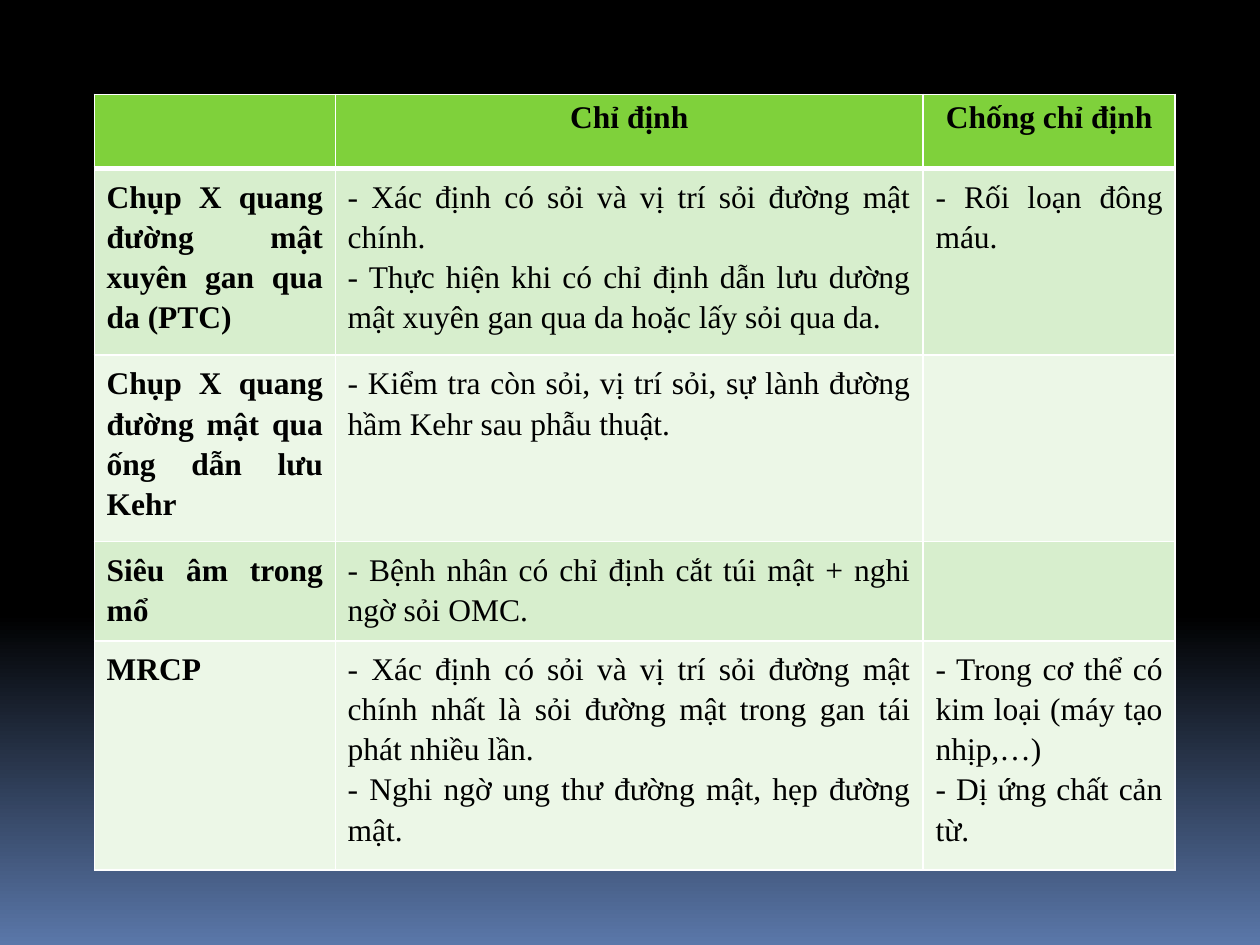
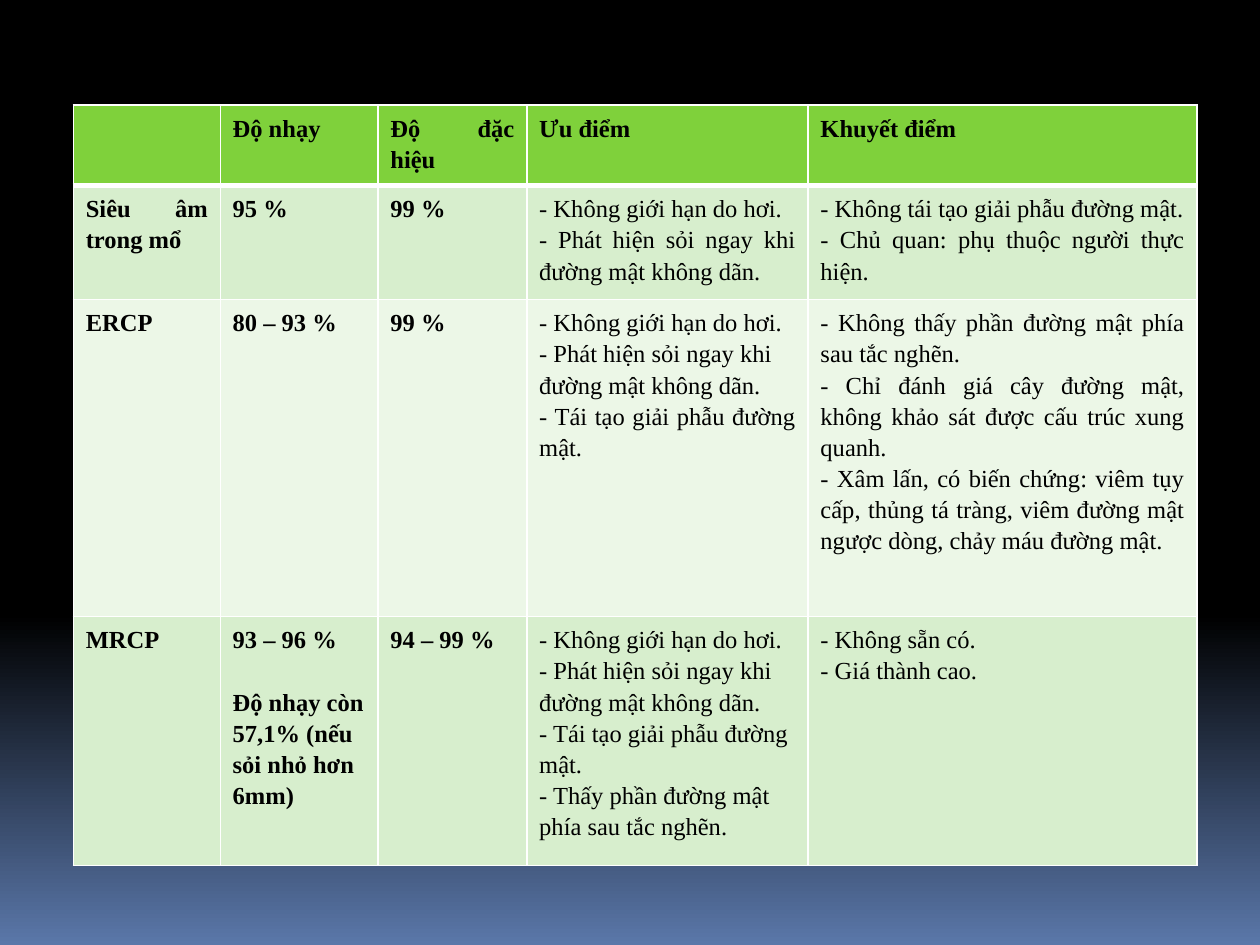
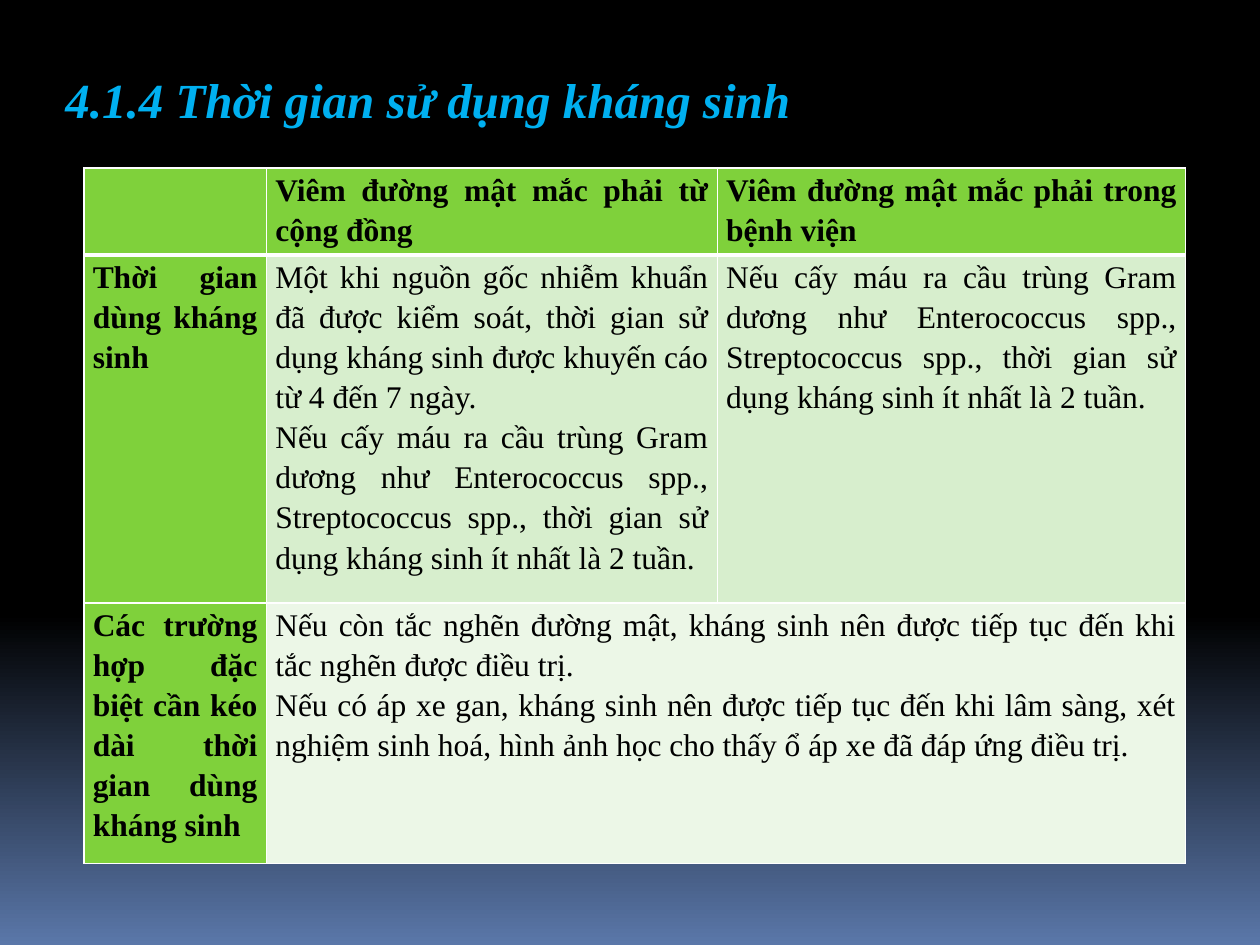
from copy import deepcopy
from dataclasses import dataclass

from lxml import etree
from pptx import Presentation
from pptx.dml.color import RGBColor
from pptx.enum.text import MSO_AUTO_SIZE, PP_ALIGN
from pptx.oxml.ns import qn
from pptx.presentation import Presentation as Deck
from pptx.slide import Slide
from pptx.table import _Cell as Cell
from pptx.text.text import _Paragraph as Paragraph
from pptx.util import Cm, Pt

JUSTIFY, CENTER, LEFT = PP_ALIGN.JUSTIFY, PP_ALIGN.CENTER, PP_ALIGN.LEFT
FIT_SHAPE = MSO_AUTO_SIZE.SHAPE_TO_FIT_TEXT
FONT = "Times New Roman"
BLACK, WHITE, SKY = "000000", "FFFFFF", "00B0F0"
GREEN, BANDS = "7FD13B", ("D7EECD", "ECF7E7")
BACKGROUND_STOPS = ((0, BLACK), (0.65, BLACK), (1, "5A77A9"))
THIN, THICK = 1, 3


@dataclass(frozen=True)
class Line:
    """One paragraph of a table cell."""

    text: str
    alignment: PP_ALIGN = JUSTIFY
    space_before: float = 0


Content = tuple[Line, ...]


@dataclass(frozen=True)
class Grid:
    """A banded table; lengths are in centimetres."""

    left: float
    top: float
    widths: tuple[float, ...]
    heights: tuple[float, ...]
    rows: tuple[tuple[Content, ...], ...]
    size: float = 18
    bold_columns: int = 1
    green_first_column: bool = False
    margins: tuple[float, float] = (0.25, 0.13)
    header_spacing: float = 1.15


def lines(*texts: str, alignment: PP_ALIGN = JUSTIFY) -> Content:
    """Make the paragraphs of one cell."""
    return tuple(Line(text, alignment) for text in texts)


METHODS = Grid(
    left=1.9, top=1.9,
    widths=(4.86, 11.85, 5.08),
    heights=(1.5, 3.76, 3.76, 2, 4.62),
    header_spacing=1,
    rows=(
        ((), lines("Chỉ định", alignment=CENTER), lines("Chống chỉ định", alignment=CENTER)),
        (
            lines("Chụp X quang đường mật xuyên gan qua da (PTC)"),
            lines(
                "- Xác định có sỏi và vị trí sỏi đường mật chính.",
                "- Thực hiện khi có chỉ định dẫn lưu dường mật xuyên gan qua da hoặc lấy sỏi qua da.",
            ),
            lines("- Rối loạn đông máu."),
        ),
        (
            lines("Chụp X quang đường mật qua ống dẫn lưu Kehr"),
            lines("- Kiểm tra còn sỏi, vị trí sỏi, sự lành đường hầm Kehr sau phẫu thuật."),
            (),
        ),
        (
            lines("Siêu âm trong mổ"),
            lines("- Bệnh nhân có chỉ định cắt túi mật + nghi ngờ sỏi OMC."),
            (),
        ),
        (
            lines("MRCP"),
            lines(
                "- Xác định có sỏi và vị trí sỏi đường mật chính nhất là sỏi đường mật trong gan "
                "tái phát nhiều lần.",
                "- Nghi ngờ ung thư đường mật, hẹp đường mật.",
            ),
            lines("- Trong cơ thể có kim loại (máy tạo nhịp,…)", "- Dị ứng chất cản từ."),
        ),
    ),
)

NO_GAS_LIMIT = "- Không giới hạn do hơi."
FINDS_STONES = "- Phát hiện sỏi ngay khi đường mật không dãn."
SHOWS_ANATOMY = "- Tái tạo giải phẫu đường mật."

ACCURACY = Grid(
    left=1.48, top=2.12,
    widths=(2.96, 3.18, 3, 5.67, 7.84),
    heights=(1.62, 2.3, 6.39, 5.02),
    size=14,
    bold_columns=3,
    rows=(
        ((), lines("Độ nhạy"), lines("Độ đặc hiệu"), lines("Ưu điểm"), lines("Khuyết điểm")),
        (
            lines("Siêu âm trong mổ"),
            lines("95 %"),
            lines("99 %"),
            lines(NO_GAS_LIMIT, FINDS_STONES),
            lines(
                "- Không tái tạo giải phẫu đường mật.",
                "- Chủ quan: phụ thuộc người thực hiện.",
            ),
        ),
        (
            lines("ERCP"),
            lines("80 – 93 %"),
            lines("99 %"),
            (Line(NO_GAS_LIMIT), Line(FINDS_STONES, LEFT), Line(SHOWS_ANATOMY)),
            lines(
                "- Không thấy phần đường mật phía sau tắc nghẽn.",
                "- Chỉ đánh giá cây đường mật, không khảo sát được cấu trúc xung quanh.",
                "- Xâm lấn, có biến chứng: viêm tụy cấp, thủng tá tràng, viêm đường mật ngược "
                "dòng, chảy máu đường mật.",
            ),
        ),
        (
            lines("MRCP"),
            (Line("93 – 96 %"), Line("Độ nhạy còn 57,1% (nếu sỏi nhỏ hơn 6mm)", LEFT, 17.75)),
            lines("94 – 99 %"),
            lines(
                NO_GAS_LIMIT,
                FINDS_STONES,
                SHOWS_ANATOMY,
                "- Thấy phần đường mật phía sau tắc nghẽn.",
                alignment=LEFT,
            ),
            lines("- Không sẵn có.", "- Giá thành cao."),
        ),
    ),
)

GRAM_POSITIVE = (
    "Nếu cấy máu ra cầu trùng Gram dương như Enterococcus spp., Streptococcus spp., "
    "thời gian sử dụng kháng sinh ít nhất là 2 tuần."
)

DURATION = Grid(
    left=1.69, top=3.39,
    widths=(3.68, 9.09, 9.44),
    heights=(1.75, 7, 5.26),
    green_first_column=True,
    margins=(0.18, 0),
    rows=(
        (
            (),
            lines("Viêm đường mật mắc phải từ cộng đồng"),
            lines("Viêm đường mật mắc phải trong bệnh viện"),
        ),
        (
            lines("Thời gian dùng kháng sinh"),
            lines(
                "Một khi nguồn gốc nhiễm khuẩn đã được kiểm soát, thời gian sử dụng kháng sinh "
                "được khuyến cáo từ 4 đến 7 ngày.",
                GRAM_POSITIVE,
            ),
            lines(GRAM_POSITIVE),
        ),
        (
            lines("Các trường hợp đặc biệt cần kéo dài thời gian dùng kháng sinh"),
            lines(
                "Nếu còn tắc nghẽn đường mật, kháng sinh nên được tiếp tục đến khi tắc nghẽn "
                "được điều trị.",
                "Nếu có áp xe gan, kháng sinh nên được tiếp tục đến khi lâm sàng, xét nghiệm "
                "sinh hoá, hình ảnh học cho thấy ổ áp xe đã đáp ứng điều trị.",
            ),
            (),
        ),
    ),
)


def rgb(value: str) -> RGBColor:
    """Turn a hex string into a colour."""
    return RGBColor.from_string(value)


def add_text(
    paragraph: Paragraph, text: str, size: float, color: str, bold: bool, italic: bool = False
) -> None:
    """Add one formatted run to a paragraph."""
    run = paragraph.add_run()
    run.text = text
    run.font.name = FONT
    run.font.size = Pt(size)
    run.font.bold = bold
    run.font.italic = italic
    run.font.color.rgb = rgb(color)


def paint_background(presentation: Deck) -> None:
    """Give the slide master the gradient all slides share."""
    master = presentation.slide_master
    fill = master.background.fill
    fill.gradient()
    fill.gradient_angle = 270
    stop_list = master.element.xpath("p:cSld/p:bg//a:gsLst")[0]
    stop_list.append(deepcopy(stop_list[-1]))
    for stop, (position, color) in zip(fill.gradient_stops, BACKGROUND_STOPS):
        stop.position = position
        stop.color.rgb = rgb(color)


def add_borders(cell: Cell, top: float, bottom: float) -> None:
    """Draw white lines on the four sides of a cell."""
    properties = cell._tc.get_or_add_tcPr()
    for side, width in (("L", THIN), ("R", THIN), ("T", top), ("B", bottom)):
        border = etree.SubElement(properties, qn(f"a:ln{side}"), w=str(Pt(width)))
        solid = etree.SubElement(border, qn("a:solidFill"))
        etree.SubElement(solid, qn("a:srgbClr"), val=WHITE)


def fill_cell(cell: Cell, content: Content, grid: Grid, row: int, column: int) -> None:
    """Style one cell and write its paragraphs."""
    is_header = row == 0
    add_borders(cell, THICK if row == 1 else THIN, THICK if is_header else THIN)
    is_green = is_header or (grid.green_first_column and column == 0)
    cell.fill.solid()
    cell.fill.fore_color.rgb = rgb(GREEN if is_green else BANDS[(row - 1) % 2])
    cell.margin_left = cell.margin_right = Cm(grid.margins[0])
    cell.margin_top = cell.margin_bottom = Cm(grid.margins[1])
    frame = cell.text_frame
    for index, line in enumerate(content):
        paragraph = frame.add_paragraph() if index else frame.paragraphs[0]
        paragraph.alignment = line.alignment
        paragraph.line_spacing = grid.header_spacing if is_header else 1.15
        if line.space_before:
            paragraph.space_before = Pt(line.space_before)
        is_bold = is_header or column < grid.bold_columns
        add_text(paragraph, line.text, grid.size, BLACK, is_bold)


def add_grid(slide: Slide, grid: Grid) -> None:
    """Add a table to a slide."""
    table = slide.shapes.add_table(
        len(grid.heights), len(grid.widths), Cm(grid.left), Cm(grid.top),
        Cm(sum(grid.widths)), Cm(sum(grid.heights)),
    ).table
    table.first_row = table.horz_banding = False
    for column, width in zip(table.columns, grid.widths):
        column.width = Cm(width)
    for row, height in zip(table.rows, grid.heights):
        row.height = Cm(height)
    for row_index, contents in enumerate(grid.rows):
        for column_index, content in enumerate(contents):
            cell = table.cell(row_index, column_index)
            fill_cell(cell, content, grid, row_index, column_index)
    if grid is DURATION:
        table.cell(2, 1).merge(table.cell(2, 2))


def add_title(slide: Slide, text: str) -> None:
    """Add the heading above a table."""
    shape = slide.shapes.add_textbox(Cm(1.07), Cm(1.27), Cm(19.69), Cm(1.45))
    shape.text_frame.word_wrap = True
    shape.text_frame.auto_size = FIT_SHAPE
    add_text(shape.text_frame.paragraphs[0], text, 28, SKY, bold=True, italic=True)


def main() -> None:
    """Build the three slides and save them."""
    presentation = Presentation()
    presentation.slide_width, presentation.slide_height = Cm(25.4), Cm(19.05)
    paint_background(presentation)
    blank_layout = presentation.slide_layouts[6]
    for title, grid in (
        ("", METHODS),
        ("", ACCURACY),
        ("4.1.4 Thời gian sử dụng kháng sinh", DURATION),
    ):
        slide = presentation.slides.add_slide(blank_layout)
        if title:
            add_title(slide, title)
        add_grid(slide, grid)
    presentation.save("out.pptx")


if __name__ == "__main__":
    main()
